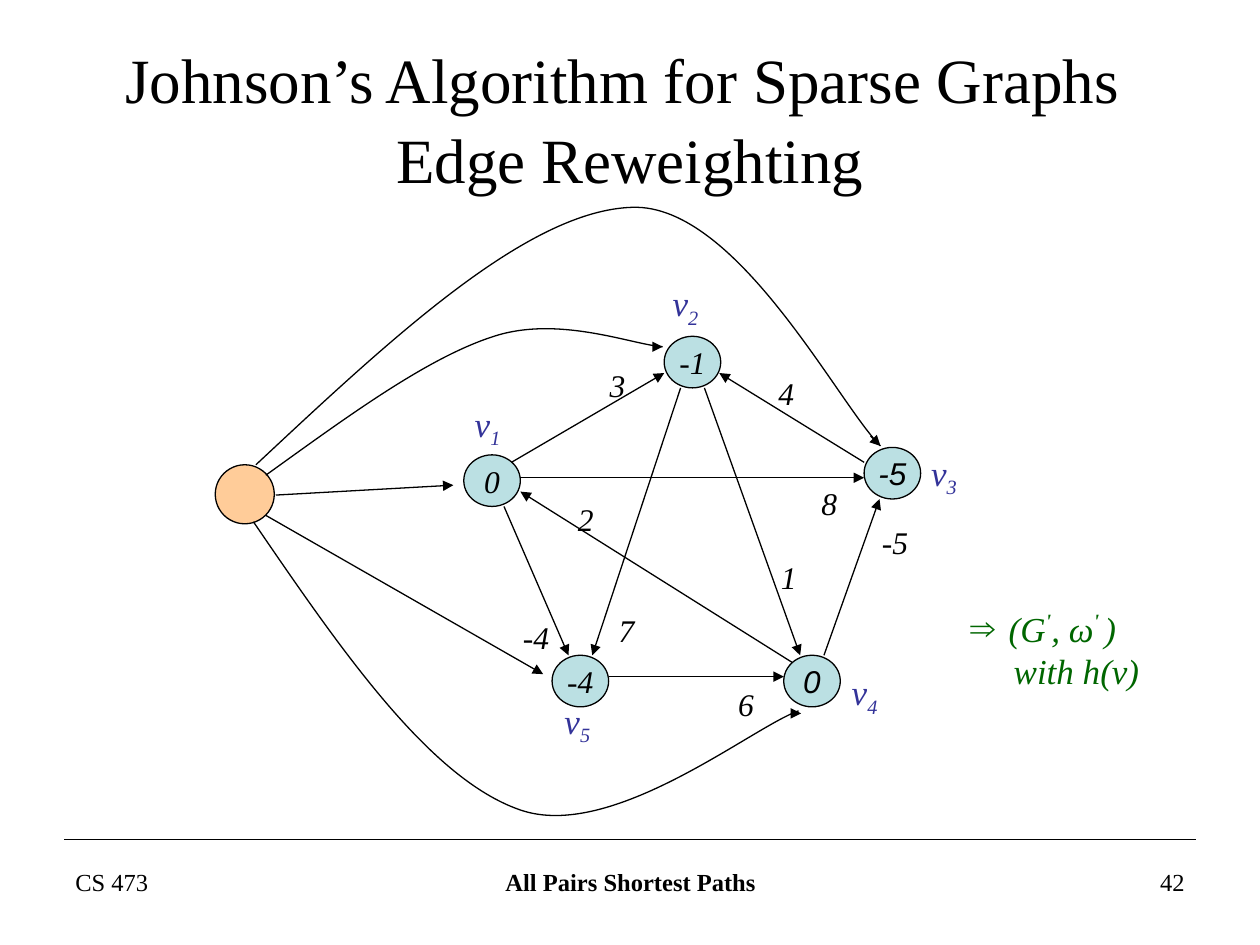
from dataclasses import dataclass

from pptx import Presentation
from pptx.dml.color import RGBColor
from pptx.enum.shapes import MSO_CONNECTOR, MSO_SHAPE
from pptx.enum.text import MSO_ANCHOR, MSO_AUTO_SIZE, PP_ALIGN
from pptx.oxml.ns import qn
from pptx.util import Cm, Pt
from lxml.etree import SubElement


@dataclass(frozen=True)
class Theme:
    serif: str = "Times New Roman"
    sans: str = "Arial"
    ink: str = "000000"
    node: str = "BBE0E3"
    source: str = "FFCC99"
    name: str = "333399"
    result: str = "006600"
    title_size: int = 36
    name_size: int = 20
    value_size: int = 18
    footer_size: int = 14
    line: float = 0.75


THEME = Theme()

# All positions and sizes are in centimetres.
TITLE = "Johnson’s Algorithm for Sparse Graphs \vEdge Reweighting"
TITLE_BOX = (1.27, 1.57, 22.86, 1.55)

NODE_SIZE = (1.14, 1.04)
NAME_SIZE = (1.02, 1.22)
# index, h value, font, node corner, name corner
NODES = [
    ("1", "0", THEME.serif, (9.35, 9.17), (9.32, 7.98)),
    ("2", "-1", THEME.serif, (13.39, 6.78), (13.31, 5.56)),
    ("3", "-5", THEME.sans, (17.42, 9.02), (18.52, 8.97)),
    ("4", "0", THEME.sans, (15.8, 13.21), (16.92, 13.39)),
    ("5", "-4", THEME.serif, (11.13, 13.21), (11.13, 13.97)),
]
SOURCE_BOX = (4.34, 9.37, 1.19, 1.19)

# weight, weight corner, start, end
EDGES = [
    ("3", (12.04, 7.26), (10.31, 9.32), (13.39, 7.52)),
    ("4", (15.44, 7.42), (17.42, 9.32), (14.5, 7.52)),
    ("-5", (17.53, 10.41), (16.61, 13.21), (17.73, 10.06)),
    ("6", (14.63, 13.69), (12.27, 13.64), (15.8, 13.64)),
    ("-4", (10.29, 12.34), (10.16, 10.21), (11.46, 13.21)),
    ("7", (12.22, 12.19), (13.72, 7.82), (11.94, 13.21)),
    ("1", (15.49, 11.13), (14.2, 7.82), (16.13, 13.21)),
    ("2", (11.4, 9.96), (15.98, 13.36), (10.49, 9.91)),
    ("8", (16.31, 9.63), (10.49, 9.63), (17.42, 9.63)),
]
SOURCE_ARROWS = [
    ((5.56, 9.98), (9.14, 9.78)),
    ((5.36, 10.39), (10.95, 13.59)),
]
# Bezier points of each curve, then the short arrow at its tip
SOURCE_CURVES = [
    ([(5.16, 9.37), (7.9, 6.81), (10.64, 4.24), (12.75, 4.18),
      (14.86, 4.11), (16.92, 8.18), (17.75, 8.99)],
     ((17.55, 8.79), (17.75, 8.99))),
    ([(5.36, 9.58), (6.99, 8.41), (8.61, 7.21), (9.96, 6.78),
      (11.28, 6.35), (12.78, 6.96), (13.36, 6.99)],
     ((13.16, 6.99), (13.36, 6.99))),
    ([(5.11, 10.52), (6.88, 13.11), (8.66, 15.7), (10.49, 16.33),
      (12.34, 16.97), (15.16, 14.66), (16.1, 14.33)],
     ((15.95, 14.38), (16.15, 14.38))),
]

RESULT_BOX = (19.3, 12.12, 4.34, 1.96)
# bullet, indent, runs of (text, superscript)
RESULT = [
    ("⇒", 0.78, [("(G", False), ("'", True), (", ω", False), ("' ", True), (")", False)]),
    (None, 0.88, [("with h(v)", False)]),
]

FOOTER_RULE = ((1.3, 16.92), (24.1, 16.92))
FOOTERS = [
    ("CS 473", (1.27, 17.35, 5.92, 1.32), PP_ALIGN.LEFT, False),
    ("All Pairs Shortest Paths", (8.69, 17.35, 8.05, 1.32), PP_ALIGN.CENTER, True),
    ("42", (18.21, 17.35, 5.92, 1.32), PP_ALIGN.RIGHT, False),
]


def lengths(values):
    return [Cm(value) for value in values]


def place(shape, box):
    shape.left, shape.top, shape.width, shape.height = lengths(box)


def style(font, size, color=THEME.ink, name=THEME.serif, italic=False, bold=False):
    font.size, font.name = Pt(size), name
    font.italic, font.bold = italic, bold
    font.color.rgb = RGBColor.from_string(color)


def outline(shape):
    shape.line.color.rgb = RGBColor.from_string(THEME.ink)
    shape.line.width = Pt(THEME.line)


def add_text(slide, text, box, align=PP_ALIGN.LEFT, wrap=False, **look):
    frame = slide.shapes.add_textbox(*lengths(box)).text_frame
    frame.word_wrap = wrap
    frame.text = text
    paragraph = frame.paragraphs[0]
    paragraph.alignment = align
    for run in paragraph.runs:
        style(run.font, **look)
    return paragraph


def add_circle(slide, box, color):
    circle = slide.shapes.add_shape(MSO_SHAPE.OVAL, *lengths(box))
    circle.shadow.inherit = False
    circle.fill.solid()
    circle.fill.fore_color.rgb = RGBColor.from_string(color)
    outline(circle)
    return circle


def add_line(slide, start, end, arrow=True):
    line = slide.shapes.add_connector(MSO_CONNECTOR.STRAIGHT, *lengths(start + end))
    outline(line)
    if arrow:
        SubElement(line.line._get_or_add_ln(), qn("a:tailEnd"), type="triangle")
    SubElement(line._element.spPr, qn("a:effectLst"))


def add_curve(slide, points):
    """Draw a freeform and turn each three of its segments into one Bezier."""
    start, *others = [lengths(point) for point in points]
    builder = slide.shapes.build_freeform(*start)
    builder.add_line_segments(others, close=False)
    curve = builder.convert_to_shape()
    curve.shadow.inherit = False
    curve.fill.background()
    outline(curve)
    outline_path = curve._element.find(".//" + qn("a:path"))
    segments = outline_path.findall(qn("a:lnTo"))
    for first in range(0, len(segments), 3):
        bezier = SubElement(outline_path, qn("a:cubicBezTo"))
        for segment in segments[first:first + 3]:
            bezier.append(segment[0])
            outline_path.remove(segment)


def fill_title(title):
    place(title, TITLE_BOX)
    frame = title.text_frame
    frame.text = TITLE
    frame.vertical_anchor = MSO_ANCHOR.MIDDLE
    frame.auto_size = MSO_AUTO_SIZE.NONE
    paragraph = frame.paragraphs[0]
    paragraph.alignment = PP_ALIGN.CENTER
    paragraph.line_spacing = 1.06
    for run in paragraph.runs:
        style(run.font, THEME.title_size)


def fill_result(body):
    place(body, RESULT_BOX)
    frame = body.text_frame
    frame.auto_size = MSO_AUTO_SIZE.NONE
    for number, (bullet, indent, runs) in enumerate(RESULT):
        paragraph = frame.add_paragraph() if number else frame.paragraphs[0]
        paragraph.space_before = Pt(0)
        properties = paragraph._p.get_or_add_pPr()
        properties.set("marL", str(Cm(indent)))
        properties.set("indent", str(-Cm(indent) if bullet else 0))
        if bullet:
            SubElement(properties, qn("a:buChar"), char=bullet)
        else:
            SubElement(properties, qn("a:buNone"))
        for text, raised in runs:
            run = paragraph.add_run()
            run.text = text
            style(run.font, THEME.name_size, THEME.result, italic=True, bold=raised)
            if raised:
                run.font._element.set("baseline", "40000")


def add_node(slide, index, value, font, corner, name_corner):
    frame = add_circle(slide, corner + NODE_SIZE, THEME.node).text_frame
    frame.word_wrap = False
    frame.vertical_anchor = MSO_ANCHOR.MIDDLE
    frame.text = value
    frame.paragraphs[0].alignment = PP_ALIGN.CENTER
    style(frame.paragraphs[0].runs[0].font, THEME.value_size, name=font, italic=True)
    look = dict(size=THEME.name_size, color=THEME.name, italic=True)
    subscript = add_text(slide, "v", name_corner + NAME_SIZE, **look).add_run()
    subscript.text = index
    style(subscript.font, **look)
    subscript.font._element.set("baseline", "-25000")


def main():
    presentation = Presentation()
    presentation.slide_width, presentation.slide_height = Cm(25.4), Cm(19.05)
    slide = presentation.slides.add_slide(presentation.slide_layouts[1])
    fill_title(slide.shapes.title)
    fill_result(slide.placeholders[1])
    add_line(slide, *FOOTER_RULE, arrow=False)
    for text, box, align, bold in FOOTERS:
        add_text(slide, text, box, align, wrap=True, size=THEME.footer_size, bold=bold)
    for node in NODES:
        add_node(slide, *node)
    for weight, corner, start, end in EDGES:
        add_line(slide, start, end)
        width = 0.81 if len(weight) == 1 else 1.04
        add_text(slide, weight, corner + (width, 1.02), size=THEME.value_size, italic=True)
    add_circle(slide, SOURCE_BOX, THEME.source)
    for points, tip in SOURCE_CURVES:
        add_curve(slide, points)
        add_line(slide, *tip)
    for start, end in SOURCE_ARROWS:
        add_line(slide, start, end)
    presentation.save("out.pptx")


if __name__ == "__main__":
    main()
